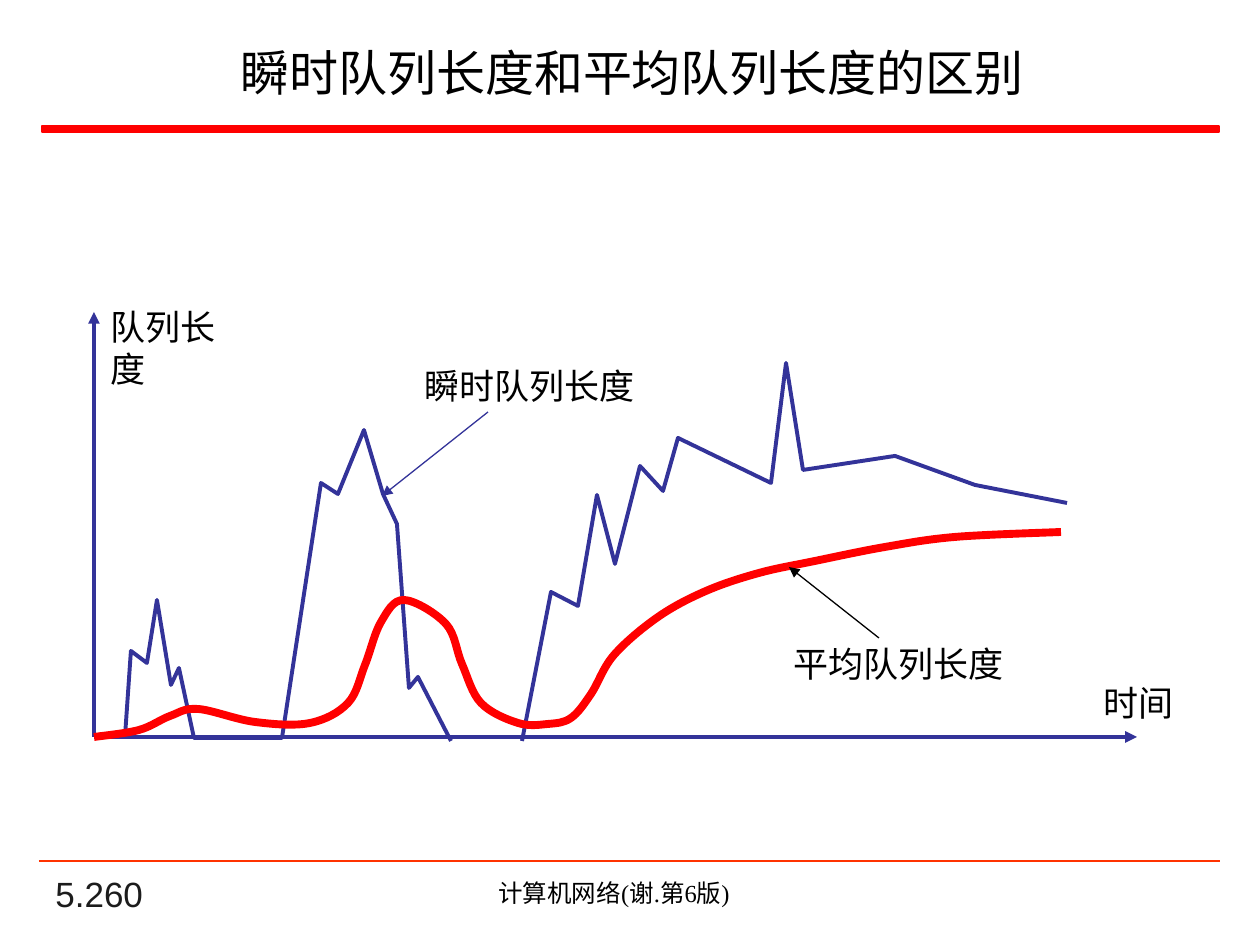
import itertools
from typing import NamedTuple

import pptx
import pptx.dml.color
import pptx.enum.shapes
import pptx.enum.text
import pptx.oxml
import pptx.oxml.ns
import pptx.util

EMU_PER_PX = 914400 / 126
COLORS = {
    "ink": "000000",
    "number": "1C1C1C",
    "instant": "333399",
    "average": "FF0000",
    "footer": "FF3300",
}
ALIGN = pptx.enum.text.PP_ALIGN
ANCHOR = pptx.enum.text.MSO_ANCHOR


class Label(NamedTuple):
    text: str
    left: int
    top: int
    width: int
    height: int
    size: int = 20
    font: str = "Times New Roman"
    color: str = "ink"
    align: ALIGN = ALIGN.LEFT
    anchor: ANCHOR = ANCHOR.TOP
    wrap: bool = False


class Segment(NamedTuple):
    start: tuple[int, int]
    end: tuple[int, int]
    color: str
    weight: float
    arrow: bool = True


class Curve(NamedTuple):
    points: list[tuple[int, int]]
    color: str
    weight: float
    smooth: bool = False


LABELS = [
    Label("瞬时队列长度和平均队列长度的区别", 49, 28, 1166, 87, 28, "Roboto",
          align=ALIGN.CENTER, anchor=ANCHOR.MIDDLE, wrap=True),
    Label("5.260", 43, 879, 262, 42, 20, "Arial", "number",
          anchor=ANCHOR.BOTTOM, wrap=True),
    Label("计算机网络(谢.第6版)", 357, 872, 514, 43, 14,
          align=ALIGN.CENTER, wrap=True),
    Label("队列长度", 98, 299, 165, 54),
    Label("时间", 1091, 675, 96, 54),
    Label("瞬时队列长度", 412, 358, 236, 54),
    Label("平均队列长度", 781, 636, 236, 54),
]

ORIGIN = (94, 737)
FOOTER_RULE = Segment((39, 861), (1220, 861), "footer", 1.5, arrow=False)
AXES = [
    Segment(ORIGIN, (1137, 737), "instant", 2.25),
    Segment(ORIGIN, (94, 312), "instant", 2.25),
]
POINTERS = [
    Segment((488, 412), (382, 496), "instant", 0.75),
    Segment((879, 638), (789, 567), "ink", 0.75),
]

CURVES = [
    Curve([(125, 737), (131, 651), (147, 663), (157, 600), (171, 685),
           (179, 668), (194, 738), (282, 738), (321, 483), (338, 494),
           (364, 430), (383, 494), (397, 524), (409, 688), (418, 677),
           (451, 741)], "instant", 2.25),
    Curve([(522, 741), (551, 592), (578, 606), (597, 495), (615, 564),
           (640, 466), (663, 491), (678, 438), (771, 483), (786, 363),
           (803, 470), (895, 456), (975, 485), (1067, 503)], "instant", 2.25),
    Curve([ORIGIN, (139, 730), (170, 716), (198, 709), (255, 722),
           (310, 723), (348, 703), (365, 665), (381, 622), (404, 600),
           (446, 624), (462, 664), (481, 703), (518, 723), (548, 724),
           (571, 718), (591, 694), (614, 655), (658, 617), (706, 591),
           (759, 573), (815, 561), (885, 547), (955, 537), (1061, 532)],
          "average", 4.5, smooth=True),
]


def px(length: int) -> pptx.util.Emu:
    return pptx.util.Emu(round(length * EMU_PER_PX))


def rgb(name: str) -> pptx.dml.color.RGBColor:
    return pptx.dml.color.RGBColor.from_string(COLORS[name])


def set_line(line, color: str, weight: float) -> None:
    line.color.rgb = rgb(color)
    line.width = pptx.util.Pt(weight)


def add_label(slide, label: Label) -> None:
    box = slide.shapes.add_textbox(
        px(label.left), px(label.top), px(label.width), px(label.height))
    frame = box.text_frame
    frame.word_wrap = label.wrap
    frame.vertical_anchor = label.anchor
    paragraph = frame.paragraphs[0]
    paragraph.text = label.text
    paragraph.alignment = label.align
    paragraph.font.size = pptx.util.Pt(label.size)
    paragraph.font.name = label.font
    paragraph.font.color.rgb = rgb(label.color)


def add_segment(slide, segment: Segment) -> None:
    connector = slide.shapes.add_connector(
        pptx.enum.shapes.MSO_CONNECTOR.STRAIGHT,
        *map(px, segment.start + segment.end))
    set_line(connector.line, segment.color, segment.weight)
    properties = connector.element.spPr
    if segment.arrow:
        outline = properties.find(pptx.oxml.ns.qn("a:ln"))
        pptx.oxml.ns.qn("a:tailEnd")
        head = outline.makeelement(
            pptx.oxml.ns.qn("a:tailEnd"), {"type": "triangle"})
        outline.append(head)
    properties.append(
        properties.makeelement(pptx.oxml.ns.qn("a:effectLst"), {}))


def smooth_outline(shape) -> None:
    """Turn the straight steps into Catmull-Rom Bézier steps."""
    qn = pptx.oxml.ns.qn
    outline = next(shape.element.iter(qn("a:path")))
    knots = [(int(pt.get("x")), int(pt.get("y")))
             for pt in outline.iter(qn("a:pt"))]
    padded = [knots[0], *knots, knots[-1]]
    steps = outline.findall(qn("a:lnTo"))
    for index, (step, (start, end)) in enumerate(
            zip(steps, itertools.pairwise(knots))):
        before, after = padded[index], padded[index + 3]
        leaving = [s + (e - b) / 6 for s, e, b in zip(start, end, before)]
        arriving = [e - (a - s) / 6 for e, a, s in zip(end, after, start)]
        bezier = outline.makeelement(qn("a:cubicBezTo"), {})
        for x, y in (leaving, arriving, end):
            bezier.append(bezier.makeelement(
                qn("a:pt"), {"x": str(round(x)), "y": str(round(y))}))
        outline.replace(step, bezier)


def add_curve(slide, curve: Curve) -> None:
    first, *rest = [(px(x), px(y)) for x, y in curve.points]
    builder = slide.shapes.build_freeform(*first)
    builder.add_line_segments(rest, close=False)
    shape = builder.convert_to_shape()
    shape.shadow.inherit = False
    shape.fill.background()
    set_line(shape.line, curve.color, curve.weight)
    if curve.smooth:
        smooth_outline(shape)


def add_title_bar(slide) -> None:
    bar = slide.shapes.add_shape(
        pptx.enum.shapes.MSO_SHAPE.RECTANGLE,
        px(42), px(126), px(1177), px(6))
    bar.shadow.inherit = False
    bar.fill.solid()
    bar.fill.fore_color.rgb = rgb("average")
    set_line(bar.line, "average", 1)


def main() -> None:
    deck = pptx.Presentation()
    deck.slide_width, deck.slide_height = px(1260), px(945)
    slide = deck.slides.add_slide(deck.slide_layouts[6])
    add_title_bar(slide)
    for segment in [FOOTER_RULE, *AXES]:
        add_segment(slide, segment)
    for curve in CURVES:
        add_curve(slide, curve)
    for label in LABELS:
        add_label(slide, label)
    for pointer in POINTERS:
        add_segment(slide, pointer)
    deck.save("out.pptx")


if __name__ == "__main__":
    main()
